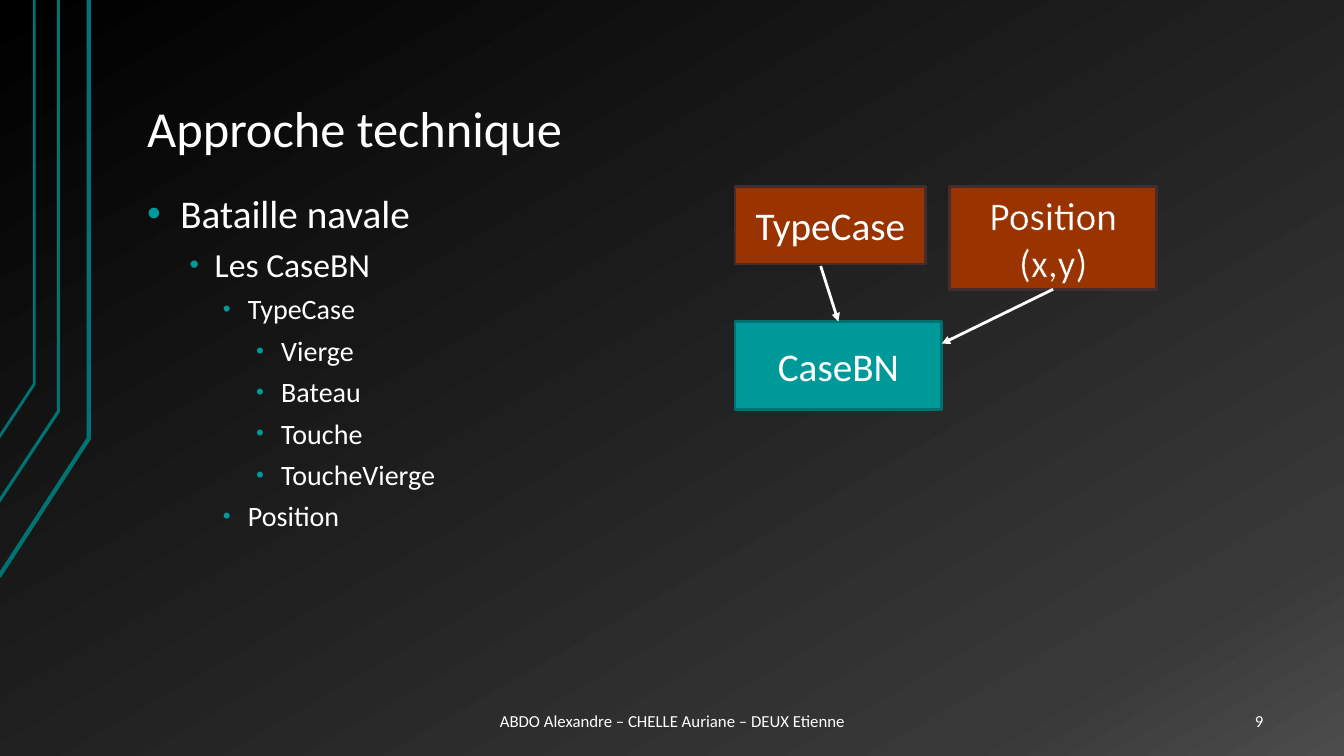
from copy import deepcopy

from lxml import etree
from pptx import Presentation
from pptx.dml.color import RGBColor
from pptx.enum import shapes, text
from pptx.oxml import ns
from pptx.util import Inches, Pt

FONT = "Calibri"
COLORS = {
    "white": "FFFFFF",
    "teal": "009999",
    "teal_edge": "007171",
    "stripe": "007373",
    "rust": "993300",
    "rust_edge": "462C2A",
}
BACKDROP = [(0, "000000"), (0.85, "383838"), (1, "4C4C4C")]
STRIPES = [
    (-0.01, 5.72, 0.88, 4.35, 3),
    (-0.02, 4.99, 0.58, 4.08, 2.25),
    (-0.01, 4.34, 0.34, 3.81, 2),
]
OUTLINE = [
    (0, "Bataille navale"),
    (1, "Les CaseBN"),
    (2, "TypeCase"),
    (3, "Vierge"),
    (3, "Bateau"),
    (3, "Touche"),
    (3, "ToucheVierge"),
    (2, "Position"),
]
LEVEL_SIZES = [28, 24, 20, 20]


def rgb(name):
    return RGBColor.from_string(COLORS[name])


def add_xml(parent, tag, **attributes):
    return etree.SubElement(parent, ns.qn(tag), attributes)


def style_paragraph(para, size, align=text.PP_ALIGN.LEFT):
    para.alignment = align
    para.font.name = FONT
    para.font.size = Pt(size)
    para.font.color.rgb = rgb("white")


def set_frame(frame, anchor):
    frame.word_wrap = True
    frame.vertical_anchor = anchor
    frame.margin_left = frame.margin_right = Inches(0.13)
    frame.margin_top = frame.margin_bottom = Inches(0.07)


def paint_background(page):
    fill = page.background.fill
    fill.gradient()
    fill.gradient_angle = 300
    stop_list = page.background._cSld.find(".//" + ns.qn("a:gsLst"))
    stop_list.append(deepcopy(stop_list[-1]))
    for stop, (position, color) in zip(fill.gradient_stops, BACKDROP):
        stop.position = position
        stop.color.rgb = RGBColor.from_string(color)


def add_stripes(page):
    for start, bottom, side, knee, weight in STRIPES:
        builder = page.shapes.build_freeform(Inches(start), Inches(bottom))
        builder.add_line_segments(
            [(Inches(side), Inches(knee)), (Inches(side), 0)], close=False)
        stripe = builder.convert_to_shape()
        stripe.shadow.inherit = False
        stripe.fill.background()
        stripe.line.color.rgb = rgb("stripe")
        stripe.line.width = Pt(weight)


def place_title(page, left, top, width, height):
    title = page.shapes.title
    title.left, title.top = Inches(left), Inches(top)
    title.width, title.height = Inches(width), Inches(height)
    set_frame(title.text_frame, text.MSO_ANCHOR.BOTTOM)
    title.text_frame.text = "Approche technique"
    para = title.text_frame.paragraphs[0]
    para.line_spacing = 0.9
    style_paragraph(para, 36)


def add_bullet(para, level):
    properties = para._p.get_or_add_pPr()
    properties.set("marL", str(Inches(round((level + 1) / 3, 2))))
    properties.set("indent", str(-Inches(0.25 if level else 0.33)))
    color = add_xml(properties, "a:buClr")
    add_xml(color, "a:srgbClr", val=COLORS["teal"])
    add_xml(properties, "a:buSzPct", val="80000" if level else "100000")
    add_xml(properties, "a:buFont", typeface="Arial")
    add_xml(properties, "a:buChar", char="•")


def add_outline(page, left, top, width, height):
    box = page.shapes.add_textbox(
        Inches(left), Inches(top), Inches(width), Inches(height))
    frame = box.text_frame
    set_frame(frame, text.MSO_ANCHOR.TOP)
    for index, (level, words) in enumerate(OUTLINE):
        para = frame.add_paragraph() if index else frame.paragraphs[0]
        para.text = words
        para.level = level
        add_bullet(para, level)
        para.line_spacing = 0.9
        para.space_before = Pt(8 if level else 16)
        style_paragraph(para, LEVEL_SIZES[level])


def add_footer(page, words, align, left, top, width, height):
    box = page.shapes.add_textbox(
        Inches(left), Inches(top), Inches(width), Inches(height))
    set_frame(box.text_frame, text.MSO_ANCHOR.MIDDLE)
    box.text_frame.text = words
    style_paragraph(box.text_frame.paragraphs[0], 12, align)


def add_class_box(page, words, color, left, top, width, height):
    box = page.shapes.add_shape(
        shapes.MSO_SHAPE.RECTANGLE,
        Inches(left), Inches(top), Inches(width), Inches(height))
    box.shadow.inherit = False
    box.fill.solid()
    box.fill.fore_color.rgb = rgb(color)
    box.line.color.rgb = rgb(color + "_edge")
    box.line.width = Pt(2)
    box.text_frame.vertical_anchor = text.MSO_ANCHOR.MIDDLE
    box.text_frame.text = words
    for para in box.text_frame.paragraphs:
        style_paragraph(para, 28, text.PP_ALIGN.CENTER)
    return box


def outline_letters(box, color):
    for para in box.text_frame.paragraphs:
        for span in para.runs:
            line = add_xml(span._r.get_or_add_rPr(), "a:ln", w=str(Pt(0.75)))
            fill = add_xml(line, "a:solidFill")
            add_xml(fill, "a:srgbClr", val=COLORS[color])


def add_arrow(page, x1, y1, x2, y2):
    arrow = page.shapes.add_connector(
        shapes.MSO_CONNECTOR.STRAIGHT,
        Inches(x1), Inches(y1), Inches(x2), Inches(y2))
    arrow.line.color.rgb = rgb("white")
    arrow.line.width = Pt(2)
    add_xml(arrow.line._get_or_add_ln(), "a:tailEnd", type="triangle")
    add_xml(arrow._element.spPr, "a:effectLst")
    return arrow


def add_class_diagram(page, left, top):
    case = add_class_box(page, "CaseBN", "teal", left, top + 1.34, 2.05, 0.87)
    add_class_box(page, "TypeCase", "rust", left, top, 1.89, 0.77)
    type_arrow = add_arrow(page, left + 0.85, top + 0.79, left + 1, top + 1.35)
    type_arrow.end_connect(case, 0)
    position = add_class_box(
        page, "Position\n(x,y)", "rust", left + 2.13, top, 2.05, 1.02)
    outline_letters(position, "rust")
    position_arrow = add_arrow(
        page, left + 3.15, top + 1.02, left + 2.05, top + 1.56)
    position_arrow.begin_connect(position, 2)


def main():
    deck = Presentation()
    deck.slide_width, deck.slide_height = Inches(13.33), Inches(7.5)
    page = deck.slides.add_slide(deck.slide_layouts[5])
    paint_background(page)
    add_stripes(page)
    place_title(page, 1.33, 0.3, 11.33, 1.34)
    add_outline(page, 1.33, 1.86, 11.33, 4.88)
    add_footer(page, "ABDO Alexandre – CHELLE Auriane – DEUX Etienne",
               text.PP_ALIGN.CENTER, 3.78, 6.95, 5.78, 0.4)
    add_footer(page, "9", text.PP_ALIGN.RIGHT, 11.55, 6.95, 1.11, 0.4)
    add_class_diagram(page, 7.29, 1.85)
    deck.save("out.pptx")


if __name__ == "__main__":
    main()
